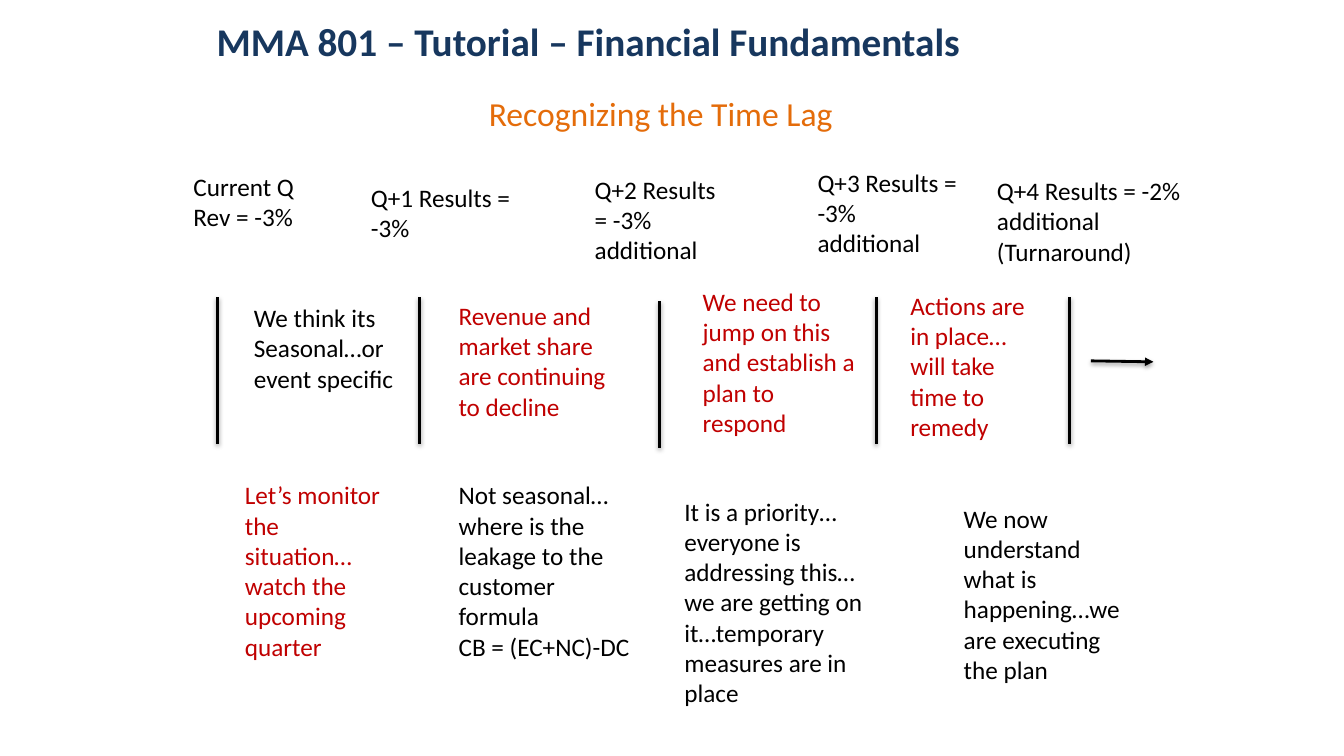
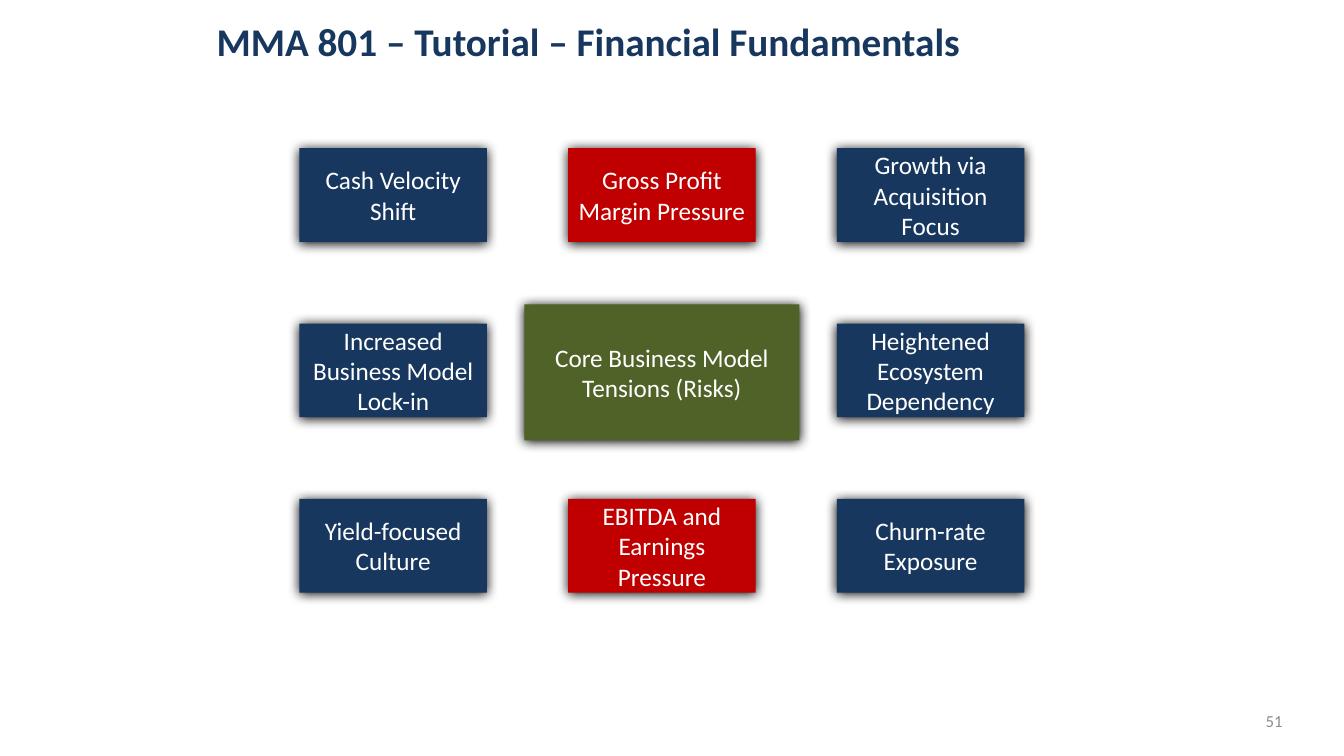
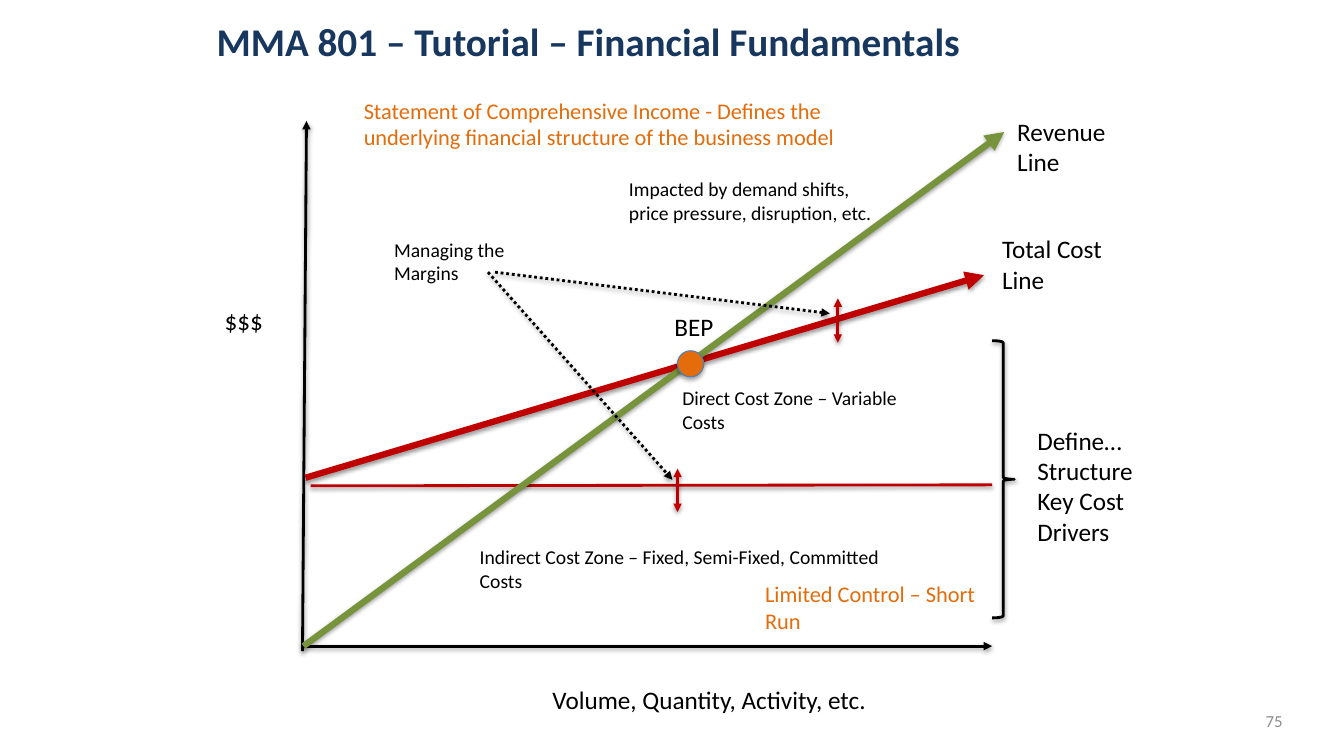
from lxml.etree import SubElement
from pptx import Presentation
from pptx.dml.color import RGBColor
from pptx.enum.dml import MSO_LINE
from pptx.enum.shapes import MSO_CONNECTOR, MSO_SHAPE
from pptx.enum.text import MSO_ANCHOR, PP_ALIGN
from pptx.oxml.ns import qn
from pptx.util import Inches, Pt

FONT = "Calibri"
NAVY, RED, ORANGE = "17375E", "C00000", "E46C0A"
GREEN, OLIVE = "77933C", "4F6228"
BLACK, WHITE, GREY, STEEL = "000000", "FFFFFF", "8C8C8C", "4B7EBC"

# Shadows: opacity in percent, blur and distance in points
LINE_SHADOW = (38, 3.15, 1.57)
BOX_SHADOW = (100, 8.5, 1)
DOT_SHADOW = (35, 3.15, 1.81)


def add_text(slide, box, text, size=18, color=BLACK, bold=False,
             align=PP_ALIGN.LEFT, anchor=MSO_ANCHOR.TOP, fill=None):
    """Add a text box, or a rectangle when a fill is given; each line is a paragraph."""
    place = [Inches(n) for n in box]
    if fill:
        holder = slide.shapes.add_shape(MSO_SHAPE.RECTANGLE, *place)
        decorate(holder, fill=fill, shadow=BOX_SHADOW)
    else:
        holder = slide.shapes.add_textbox(*place)
    frame = holder.text_frame
    frame.word_wrap = True
    frame.vertical_anchor = anchor
    frame.text = text
    for paragraph in frame.paragraphs:
        paragraph.alignment = align
        font = paragraph.runs[0].font
        font.name, font.size, font.bold = FONT, Pt(size), bold
        font.color.rgb = RGBColor.from_string(color)


def decorate(item, line=None, width=2, fill=None, shadow=LINE_SHADOW, dash=None, ends=()):
    """Set the outline, fill, arrowheads and shadow of a shape or connector."""
    properties = item.element.spPr
    if fill:
        item.fill.solid()
        item.fill.fore_color.rgb = RGBColor.from_string(fill)
    if line:
        item.line.color.rgb = RGBColor.from_string(line)
        item.line.width = Pt(width)
        if dash:
            item.line.dash_style = dash
        for end in ends:
            SubElement(properties.find(qn("a:ln")), qn(f"a:{end}"), type="triangle")
    else:
        item.line.fill.background()
    opacity, blur, distance = shadow
    effects = SubElement(properties, qn("a:effectLst"))
    outer = SubElement(effects, qn("a:outerShdw"), blurRad=str(Pt(blur)),
                       dist=str(Pt(distance)), dir="5400000", rotWithShape="0")
    shade = SubElement(outer, qn("a:srgbClr"), val=BLACK)
    SubElement(shade, qn("a:alpha"), val=str(opacity * 1000))


deck = Presentation()
deck.slide_width, deck.slide_height = Inches(13.33), Inches(7.5)

slides = []
for page in (None, "51", "75"):
    slide = deck.slides.add_slide(deck.slide_layouts[6])
    add_text(slide, (2.05, 0.05, 8.2, 0.71), "MMA 801 – Tutorial – Financial Fundamentals",
             size=28, color=NAVY, bold=True, anchor=MSO_ANCHOR.MIDDLE)
    if page:
        add_text(slide, (9.82, 6.95, 3, 0.4), page, size=12, color=GREY,
                 align=PP_ALIGN.RIGHT, anchor=MSO_ANCHOR.MIDDLE)
    slides.append(slide)
time_lag, tensions, break_even = slides

# Time lag: quarter results, what is said in each quarter, and the response
add_text(time_lag, (4.75, 0.87, 4.59, 0.5), "Recognizing the Time Lag", size=24, color=ORANGE)

quarter_notes = [
    ((1.82, 1.65, 1.49, 0.71), "Current Q\nRev = -3%", BLACK),
    ((3.58, 1.76, 1.62, 0.71), "Q+1 Results = -3%", BLACK),
    ((5.8, 1.68, 1.49, 1.01), "Q+2 Results = -3% additional", BLACK),
    ((8.01, 1.61, 1.65, 1.01), "Q+3 Results = -3% additional", BLACK),
    ((9.79, 1.69, 2.2, 1.01), "Q+4 Results = -2% additional (Turnaround)", BLACK),
    ((2.42, 2.95, 1.66, 1.01), "We think its\nSeasonal…or event specific", BLACK),
    ((4.45, 2.93, 1.76, 1.31), "Revenue and market share are continuing to decline", RED),
    ((6.87, 2.79, 1.72, 1.62), "We need to jump on this and establish a plan to respond", RED),
    ((8.93, 2.83, 1.45, 1.62), "Actions are in place…will take time to remedy", RED),
    ((2.33, 4.71, 1.65, 1.92), "Let’s monitor the situation… watch the upcoming quarter", RED),
    ((4.45, 4.71, 1.91, 1.92),
     "Not seasonal…where is the leakage to the customer formula\nCB = (EC+NC)-DC", BLACK),
    ((6.69, 4.87, 2.16, 2.52),
     "It is a priority…everyone is addressing this…we are getting on it…"
     "temporary measures are in place", BLACK),
    ((9.46, 4.94, 1.85, 1.92),
     "We now understand what is happening…we are executing the plan", BLACK),
]
for box, note, color in quarter_notes:
    add_text(time_lag, box, note, color=color)

quarter_marks = [(2.16, 2.95), (4.16, 2.95), (6.54, 2.99), (8.69, 2.95), (10.61, 2.95)]
timeline = [((x, top, x, top + 1.45), ()) for x, top in quarter_marks]
timeline.append(((10.82, 3.58, 11.44, 3.59), ["tailEnd"]))
for points, ends in timeline:
    mark = time_lag.shapes.add_connector(MSO_CONNECTOR.STRAIGHT, *[Inches(n) for n in points])
    decorate(mark, BLACK, ends=ends)

# Tensions: a three by three grid around the core
risk_grid = [
    ["Cash Velocity Shift", "Gross Profit Margin Pressure", "Growth via Acquisition Focus"],
    ["Increased Business Model Lock-in", None, "Heightened Ecosystem Dependency"],
    ["Yield-focused Culture", "EBITDA and Earnings Pressure", "Churn-rate Exposure"],
]
centred = {"color": WHITE, "align": PP_ALIGN.CENTER, "anchor": MSO_ANCHOR.MIDDLE}
add_text(tensions, (5.2, 3.02, 2.73, 1.35), "Core Business Model Tensions (Risks)",
         fill=OLIVE, **centred)
for row, risks in enumerate(risk_grid):
    for column, risk in enumerate(risks):
        if risk:
            add_text(tensions, (2.97 + 2.665 * column, 1.47 + 1.74 * row, 1.86, 0.93), risk,
                     fill=RED if column == 1 else NAVY, **centred)

# Break-even: axes, cost and revenue lines, margins
arrow = {"ends": ["tailEnd"]}
both_ways = {"ends": ["headEnd", "tailEnd"]}
pointer = {"dash": MSO_LINE.ROUND_DOT, **arrow}
graph_lines = [
    ((3, 6.46, 3.04, 1.2), BLACK, arrow),
    ((3.01, 6.41, 9.84, 6.41), BLACK, arrow),
    ((3.08, 4.82, 9.84, 4.81), RED, {}),
    ((3.03, 4.74, 9.76, 2.73), RED, {"width": 4.5, **arrow}),
    ((3.01, 6.41, 9.96, 1.31), GREEN, {"width": 4.5, **arrow}),
    ((6.72, 4.65, 6.72, 5.08), RED, both_ways),
    ((8.31, 2.96, 8.31, 3.4), RED, both_ways),
    ((4.91, 2.7, 8.23, 3.11), BLACK, pointer),
    ((4.84, 2.7, 6.67, 4.76), BLACK, pointer),
]
for points, color, style in graph_lines:
    graph_line = break_even.shapes.add_connector(
        MSO_CONNECTOR.STRAIGHT, *[Inches(n) for n in points])
    decorate(graph_line, color, **style)

cost_brace = break_even.shapes.add_shape(
    MSO_SHAPE.RIGHT_BRACE, Inches(9.84), Inches(3.38), Inches(0.22), Inches(2.75))
cost_brace.fill.background()
decorate(cost_brace, BLACK)

break_even_point = break_even.shapes.add_shape(
    MSO_SHAPE.OVAL, Inches(6.72), Inches(3.48), Inches(0.26), Inches(0.26))
decorate(break_even_point, STEEL, width=0.75, fill=ORANGE, shadow=DOT_SHADOW)

graph_labels = [
    ((2.13, 2.98, 0.87, 0.4), "$$$", 18, BLACK),
    ((5.38, 6.74, 3.57, 0.4), "Volume, Quantity, Activity, etc.", 18, BLACK),
    ((9.84, 2.27, 1.57, 0.71), "Total Cost Line", 18, BLACK),
    ((9.99, 1.1, 1.21, 0.71), "Revenue Line", 18, BLACK),
    ((10.19, 4.17, 1.25, 1.31), "Define…\nStructure\nKey Cost Drivers", 18, BLACK),
    ((6.59, 3.04, 0.7, 0.4), "BEP", 18, BLACK),
    ((3.51, 0.91, 5.43, 0.64),
     "Statement of Comprehensive Income - Defines the underlying financial structure "
     "of the business model", 16, ORANGE),
    ((7.49, 5.71, 2.47, 0.64), "Limited Control – Short Run", 16, ORANGE),
    ((4.66, 5.36, 4.57, 0.57),
     "Indirect Cost Zone – Fixed, Semi-Fixed, Committed Costs", 14, BLACK),
    ((6.67, 3.78, 2.66, 0.57), "Direct Cost Zone – Variable Costs", 14, BLACK),
    ((3.81, 2.31, 1.52, 0.57), "Managing the Margins", 14, BLACK),
    ((6.14, 1.71, 2.66, 0.57),
     "Impacted by demand shifts, price pressure, disruption, etc.", 14, BLACK),
]
for box, label, size, color in graph_labels:
    add_text(break_even, box, label, size=size, color=color)

deck.save("out.pptx")
